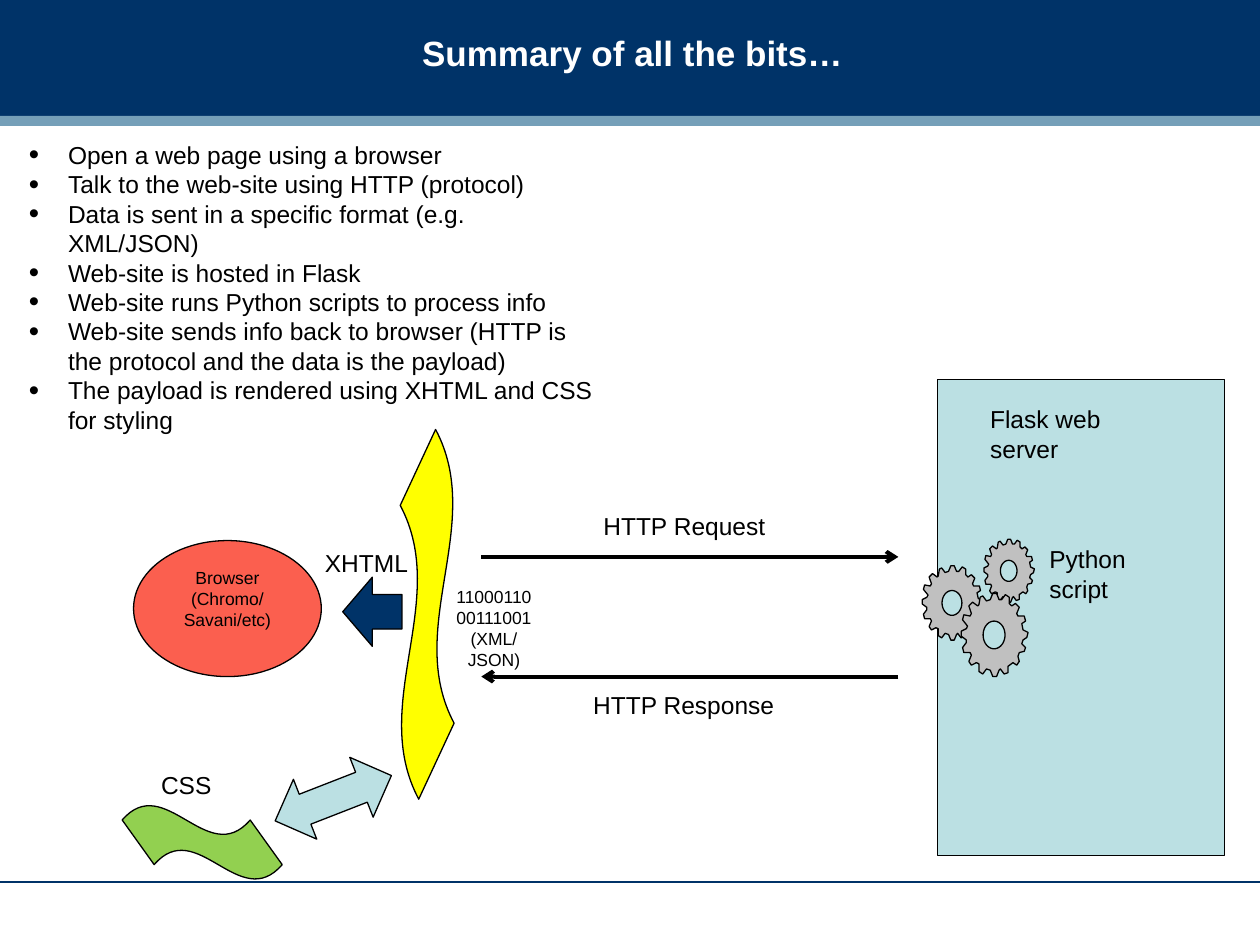
import math
import pptx
import pptx.util
import pptx.dml.color
import pptx.enum.shapes
import pptx.enum.text
import pptx.oxml
import pptx.oxml.ns

MSO = pptx.enum.shapes.MSO_SHAPE
ALIGN = pptx.enum.text.PP_ALIGN
ANCHOR = pptx.enum.text.MSO_ANCHOR
AUTO = pptx.enum.text.MSO_AUTO_SIZE
Pt = pptx.util.Pt

COLORS = {"navy": "003368", "steel": "759FB8", "pale": "BBE0E3", "red": "FB5F4F",
          "yellow": "FFFF00", "green": "92D050", "grey": "C0C0C0",
          "black": "000000", "white": "FFFFFF"}

TITLE = "Summary of all the bits…"
BULLETS = [
    "Open a web page using a browser",
    "Talk to the web-site using HTTP (protocol)",
    "Data is sent in a specific format (e.g. XML/JSON)",
    "Web-site is hosted in Flask",
    "Web-site runs Python scripts to process info",
    "Web-site sends info back to browser (HTTP is the protocol and the data is the payload)",
    "The payload is rendered using XHTML and CSS for styling",
]
BROWSER = ["Browser", "(Chromo/Savani/etc)"]

# All boxes are percentages of the slide's width and height.
TITLE_BOX = (32.5, 0, 65.8, 11.07)
BULLET_BOX = (1.3, 14.13, 47.1, 32.53)
BANDS = [((0, 0, 100, 12.27), "navy"), ((0, 12.27, 100, 1.07), "steel")]
FOOT_RULE = (0, 93.33, 100, 93.33)
SERVER_BOX = (74.4, 40.13, 22.8, 50.4)
BROWSER_BOX = (10.6, 57.2, 14.9, 14.4)
MESSAGES = [(38.2, 58.93, 71.3, 58.93), (71.3, 71.6, 38.2, 71.6)]
GEARS = [(78.1, 57.07, 4, 6.67), (73.2, 59.87, 4.8, 7.87), (76.3, 62.8, 5.3, 8.8)]
LABELS = [
    (["HTTP Request"], (46.9, 53.47, 14.9, 4.53), 14, ALIGN.LEFT),
    (["HTTP Response"], (46.1, 72.4, 16.4, 4.53), 14, ALIGN.LEFT),
    (["11000110", "00111001", "(XML/JSON)"], (34.3, 61.33, 9.8, 8), 10, ALIGN.CENTER),
    (["Python script"], (82.3, 56.93, 13.2, 4.53), 14, ALIGN.LEFT),
    (["Flask web server"], (77.6, 42.13, 16.7, 4.53), 14, ALIGN.LEFT),
    (["XHTML"], (24.8, 57.33, 8.6, 4.53), 14, ALIGN.LEFT),
    (["CSS"], (11.8, 80.8, 6, 4.53), 14, ALIGN.LEFT),
]
FLOW_SHAPES = [
    (MSO.WAVE, (19.3, 61.47, 29.2, 7.07), "yellow", 86.4, (0.21, 0.1)),
    (MSO.WAVE, (9.7, 85.2, 12.7, 7.87), "green", 0, (0.21, 0.1)),
    (MSO.LEFT_RIGHT_ARROW, (21.5, 81.07, 9.9, 6.8), "pale", 338.7, (0.5, 0.5)),
    (MSO.RIGHT_ARROW, (27.2, 61.07, 4.7, 7.33), "navy", 180, (0.5, 0.5)),
]
GEAR_SIZE = (53, 66)
GEAR_HOLE = (26, 33, 8.7, 11)
GEAR_TEETH = [
    (23, 5), (25, 0), (28, 0), (30, 5), (32, 5), (35, 1), (38, 3), (38, 8),
    (40, 10), (43, 8), (46, 11), (44, 16), (45, 18), (50, 18), (51, 22), (48, 24),
    (49, 29), (53, 31), (52, 35), (49, 37), (48, 40), (51, 43), (50, 46), (46, 47),
    (45, 50), (46, 54), (44, 57), (41, 55), (37, 58), (37, 63), (34, 64), (31, 60),
    (30, 61), (28, 66), (25, 66), (23, 61), (20, 60), (17, 64), (14, 62), (14, 56),
    (12, 55), (8, 57), (6, 54), (8, 49), (7, 47), (2, 47), (1, 43), (4, 39),
    (4, 37), (0, 34), (0, 30), (4, 28), (5, 26), (1, 21), (2, 17), (7, 18),
    (8, 16), (6, 10), (9, 7), (13, 10), (14, 9), (15, 3), (17, 2), (20, 6),
]

prs = pptx.Presentation()
prs.slide_width, prs.slide_height = pptx.util.Inches(10), pptx.util.Inches(7.5)
s = prs.slides.add_slide(prs.slide_layouts[1])


def rgb(name):
    return pptx.dml.color.RGBColor.from_string(COLORS[name])


def emu(box):
    sides = (prs.slide_width, prs.slide_height) * 2
    return [round(v * side / 100) for v, side in zip(box, sides)]


def child(parent, tag, **attrs):
    el = pptx.oxml.parse_xml(f"<a:{tag} {pptx.oxml.ns.nsdecls('a')}/>")
    for key, value in attrs.items():
        el.set(key, value)
    parent.append(el)


def paint(sp, fill, line="black"):
    sp.shadow.inherit = False
    sp.fill.solid()
    sp.fill.fore_color.rgb = rgb(fill)
    if line:
        sp.line.color.rgb = rgb(line)
        sp.line.width = Pt(0.75)
    else:
        sp.line.fill.background()


def add_shape(kind, box, fill, line="black", rotation=0, adjustments=()):
    sp = s.shapes.add_shape(kind, *emu(box))
    paint(sp, fill, line)
    sp.rotation = rotation
    for i, value in enumerate(adjustments):
        sp.adjustments[i] = value
    return sp


def add_line(ends, color, width, arrow=False):
    line = s.shapes.add_connector(pptx.enum.shapes.MSO_CONNECTOR.STRAIGHT, *emu(ends))
    line.line.color.rgb = rgb(color)
    line.line.width = Pt(width)
    if arrow:
        child(line.line._get_or_add_ln(), "tailEnd", type="arrow")
    child(line._element.spPr, "effectLst")


def write(sp, lines, size, align=ALIGN.LEFT, color="black", bold=False,
          anchor=ANCHOR.TOP, wrap=True, auto_size=AUTO.NONE, bullet=False):
    tf = sp.text_frame
    frame = {"word_wrap": wrap, "auto_size": auto_size, "vertical_anchor": anchor}
    for key, value in frame.items():
        setattr(tf, key, value)
    font = {"name": "Arial", "size": Pt(size), "bold": bold}
    for i, text in enumerate(lines):
        p = tf.paragraphs[0] if i == 0 else tf.add_paragraph()
        p.alignment = align
        p.space_before = Pt(0)
        if bullet:
            add_bullet(p)
        r = p.add_run()
        r.text = text
        for key, value in font.items():
            setattr(r.font, key, value)
        r.font.color.rgb = rgb(color)


def add_bullet(p):
    pPr = p._p.get_or_add_pPr()
    indent = pptx.util.Inches(0.31)
    pPr.set("marL", str(indent))
    pPr.set("indent", str(-indent))
    child(pPr, "buClr")
    child(pPr[-1], "srgbClr", val=COLORS["black"])
    child(pPr, "buSzPct", val="120000")
    child(pPr, "buFont", typeface="Arial")
    child(pPr, "buChar", char="•")


def add_gear(group, box):
    left, top, width, height = emu(box)

    def place(x, y):
        return (round(left + x / GEAR_SIZE[0] * width),
                round(top + y / GEAR_SIZE[1] * height))

    cx, cy, rx, ry = GEAR_HOLE
    angles = [-math.tau * i / 40 for i in range(40)]
    hole = [place(cx + rx * math.cos(a), cy + ry * math.sin(a)) for a in angles]
    teeth = [place(*point) for point in GEAR_TEETH]
    builder = group.shapes.build_freeform(*teeth[0])
    builder.add_line_segments(teeth[1:], close=True)
    builder.move_to(*hole[0])
    builder.add_line_segments(hole[1:], close=True)
    paint(builder.convert_to_shape(), "grey")


def fill_placeholder(sp, box, lines, **style):
    sp.left, sp.top, sp.width, sp.height = emu(box)
    write(sp, lines, **style)
    s.shapes._spTree.append(sp._element)


title, body = s.placeholders[0], s.placeholders[1]
for box, fill in BANDS:
    add_shape(MSO.RECTANGLE, box, fill, line=None)
add_line(FOOT_RULE, "navy", 0.75)
fill_placeholder(title, TITLE_BOX, [TITLE], size=20, color="white", bold=True,
                 anchor=ANCHOR.MIDDLE)
add_shape(MSO.RECTANGLE, SERVER_BOX, "pale")
write(add_shape(MSO.OVAL, BROWSER_BOX, "red"), BROWSER, 10, ALIGN.CENTER)
for ends in MESSAGES:
    add_line(ends, "black", 2.25, arrow=True)
gears = s.shapes.add_group_shape()
for box in GEARS:
    add_gear(gears, box)
for kind, box, fill, rotation, adjustments in FLOW_SHAPES:
    add_shape(kind, box, fill, rotation=rotation, adjustments=adjustments)
for lines, box, size, align in LABELS:
    write(s.shapes.add_textbox(*emu(box)), lines, size, align, wrap=False,
          auto_size=AUTO.SHAPE_TO_FIT_TEXT)
fill_placeholder(body, BULLET_BOX, BULLETS, size=14, bullet=True)

prs.save("out.pptx")
